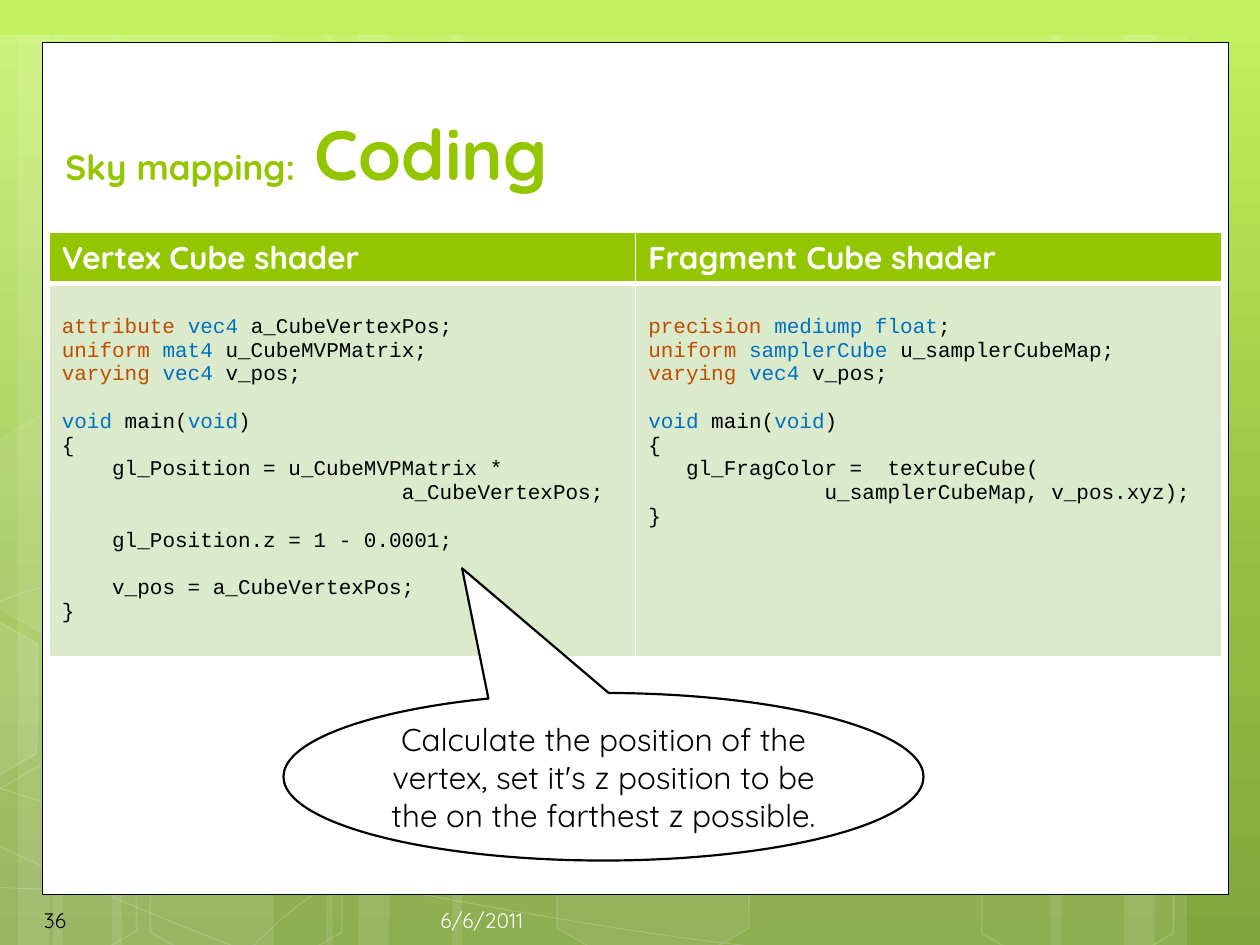
from copy import deepcopy

from lxml.etree import SubElement
from pptx import Presentation
from pptx.dml.color import RGBColor
from pptx.enum.shapes import MSO_SHAPE as Shape
from pptx.enum.text import MSO_ANCHOR as Anchor, PP_ALIGN as Align
from pptx.oxml.ns import qn
from pptx.util import Inches, Pt

HEX = {
    "white": "FFFFFF", "black": "000000", "pale": "FEFEFE",
    "green": "94C600", "mint": "DCEACC", "rust": "BF4D00", "blue": "0070C0",
    "top": "C3F35F", "mid": "93BF3F", "low": "81A53E",
}
FONT, MONO = "Quicksand", "Courier New"
LINE = 13.6  # height of one code line in points

# Bands: left, width
BANDS = [(0.42, 1.75), (-0.33, 0.83), (0.89, 1.75), (-0.11, 0.5), (0.14, 0.83),
         (6.67, 1.75), (8.92, 0.5), (8.34, 0.83), (3.59, 3.08), (2.59, 0.5),
         (2.84, 0.83)]

# Curves: a start point, then three points for each Bezier part
CURVES = [
    [(-0.59, 7.01), (-0.05, 7.04), (0.49, 7.08), (1.24, 7.06), (1.99, 7.05),
     (2.92, 7.03), (3.92, 6.93), (4.92, 6.83), (6.34, 6.64), (7.26, 6.45),
     (8.17, 6.26), (9.11, 5.96), (9.41, 5.79)],
    [(-0.59, 5.05), (-0.3, 4.9), (-0.01, 4.74), (0.55, 4.6), (1.12, 4.45),
     (1.93, 4.23), (2.81, 4.15), (3.7, 4.08), (4.78, 4.08), (5.88, 4.15),
     (6.98, 4.23), (8.81, 4.54), (9.41, 4.62)],
    [(-0.6, 6.45), (0.61, 7), (1.81, 7.55), (2.68, 7.78)],
    [(-0.59, 6.06), (-0.28, 6.17), (0.04, 6.28), (0.62, 6.44), (1.2, 6.6),
     (2.07, 6.84), (2.9, 7.01), (3.74, 7.18), (4.79, 7.36), (5.62, 7.47),
     (6.45, 7.57), (7.34, 7.61), (7.87, 7.65), (8.39, 7.68), (8.53, 7.66),
     (8.79, 7.66), (9.05, 7.66), (9.23, 7.64), (9.41, 7.62)],
    [(1.76, 7.78), (1.94, 7.58), (2.12, 7.38), (2.36, 7.19), (2.6, 7.01),
     (2.94, 6.81), (3.22, 6.67), (3.5, 6.54), (3.67, 6.48), (4.03, 6.37),
     (4.4, 6.27), (5.07, 6.13), (5.42, 6.06), (5.78, 6), (5.83, 6),
     (6.14, 5.97), (6.45, 5.95), (6.94, 5.92), (7.28, 5.91), (7.63, 5.9),
     (8.2, 5.91), (8.2, 5.91), (8.42, 5.91), (8.65, 5.91), (8.87, 5.91),
     (9.05, 5.91), (9.22, 5.93), (9.4, 5.95)],
]

# Hexagons: left, top, fill alpha, line alpha
CELLS = [(4.31, 6.17, 6, 12), (-0.55, 6.19, 0, 12), (-0.52, 3.4, 7, 8),
         (1.08, 6.2, 0, 12), (7.68, 6.21, 0, 12)]

# Hexagon cut at the left side
CUT = [(-0.58, 4.73), (-0.47, 4.67), (0.3, 5.11), (0.29, 5.98), (-0.46, 6.42),
       (-0.58, 6.36)]

# Code: indent in characters, blank lines before, runs split by a bar
VERTEX = [
    (0, 0, "attribute |vec4 |a_CubeVertexPos;"),
    (0, 0, "uniform |mat4 |u_CubeMVPMatrix;"),
    (0, 0, "varying |vec4 |v_pos;"),
    (0, 1, "void| main(|void|)"),
    (0, 0, "{"),
    (4, 0, "gl_Position = u_CubeMVPMatrix *"),
    (27, 0, "a_CubeVertexPos;"),
    (4, 1, "gl_Position.z = 1 - 0.0001;"),
    (4, 1, "v_pos = a_CubeVertexPos;"),
    (0, 0, "}"),
]
FRAGMENT = [
    (0, 0, "precision |mediump float|;"),
    (0, 0, "uniform |samplerCube |u_samplerCubeMap;"),
    (0, 0, "varying |vec4 |v_pos;"),
    (0, 1, "void| main(|void|)"),
    (0, 0, "{"),
    (3, 0, "gl_FragColor =  textureCube("),
    (14, 0, "u_samplerCubeMap, v_pos.xyz);"),
    (0, 0, "}"),
]
WORDS = {
    **dict.fromkeys(["attribute", "uniform", "varying", "precision"], "rust"),
    **dict.fromkeys(["vec4", "mat4", "void", "mediump float", "samplerCube"], "blue"),
}


def rgb(name):
    return RGBColor.from_string(HEX[name])


def put(para, text, size=12, color="black", font=FONT, bold=False, align=None):
    """Add one formatted run to a paragraph."""
    run = para.add_run()
    run.text = text
    face = run.font
    face.size, face.name, face.bold = Pt(size), font, bold
    face.color.rgb = rgb(color)
    if align is not None:
        para.alignment = align


def fade(fmt, name, alpha):
    """Set a solid colour; alpha is a percentage, and 0 means none."""
    if not alpha:
        fmt.background()
        return
    fmt.solid()
    fmt.fore_color.rgb = rgb(name)
    if alpha < 100:
        node = fmt.fore_color._color._xClr
        SubElement(node, qn("a:alpha")).set("val", str(alpha * 1000))


def paint(shape, fill=0, line=0, width=1, edge="white"):
    shape.shadow.inherit = False
    fade(shape.fill, "white", fill)
    fade(shape.line.fill, edge, line)
    if line:
        shape.line.width = Pt(width)


def add(slide, kind, x, y, w, h, **look):
    shape = slide.shapes.add_shape(kind, Inches(x), Inches(y), Inches(w), Inches(h))
    paint(shape, **look)
    return shape


def trace(slide, points, close=False, **look):
    dots = [(Inches(x), Inches(y)) for x, y in points]
    pen = slide.shapes.build_freeform(*dots[0])
    pen.add_line_segments(dots[1:], close=close)
    shape = pen.convert_to_shape()
    paint(shape, **look)
    return shape


def bend(shape):
    """Turn each three straight steps of an outline into one Bezier part."""
    steps = list(shape.element.iter(qn("a:lnTo")))
    for i in range(0, len(steps), 3):
        curve = SubElement(steps[i].getparent(), qn("a:cubicBezTo"))
        for step in steps[i:i + 3]:
            curve.append(step[0])
            step.getparent().remove(step)


def label(slide, x, y, w, h, anchor):
    frame = slide.shapes.add_textbox(Inches(x), Inches(y), Inches(w), Inches(h)).text_frame
    frame.word_wrap, frame.vertical_anchor = True, anchor
    return frame.paragraphs[0]


def rule(cell, **sides):
    """Draw white cell borders, with widths in points."""
    props = cell._tc.get_or_add_tcPr()
    for i, (side, width) in enumerate(sides.items()):
        line = SubElement(props, qn("a:ln" + side), w=str(Pt(width)))
        fill = SubElement(line, qn("a:solidFill"))
        SubElement(fill, qn("a:srgbClr"), val=HEX["white"])
        props.insert(i, line)


def backdrop(slide):
    fill = slide.background.fill
    fill.gradient()
    fill.gradient_angle = 270
    stops = next(slide.element.iter(qn("a:gsLst")))
    stops.append(deepcopy(stops[0]))
    for stop, name, pos in zip(fill.gradient_stops, ("top", "mid", "low"), (0, 0.62, 1)):
        stop.color.rgb, stop.position = rgb(name), pos
    for x, w in BANDS:
        add(slide, Shape.RECTANGLE, x, 0.28, w, 7.5, fill=10)
    for curve in CURVES:
        bend(trace(slide, curve, line=20, width=0.5))
    for x, y, fill, line in CELLS:
        cell = add(slide, Shape.HEXAGON, x, y, 1.75, 1.52, fill=fill, line=line)
        cell.adjustments[0] = 0.285
        cell.rotation = 30
    trace(slide, CUT, close=True, fill=10, line=12)


def shaders(slide):
    table = slide.shapes.add_table(2, 2, Inches(0.39), Inches(1.84),
                                   Inches(9.31), Inches(3.37)).table
    table.rows[0].height, table.rows[1].height = Inches(0.41), Inches(2.96)
    parts = [("Vertex Cube shader", VERTEX), ("Fragment Cube shader", FRAGMENT)]
    for col, (name, code) in enumerate(parts):
        head, body = table.cell(0, col), table.cell(1, col)
        for cell, tint in ((head, "green"), (body, "mint")):
            cell.fill.solid()
            cell.fill.fore_color.rgb = rgb(tint)
        rule(head, L=1, R=1, T=1, B=3)
        rule(body, L=1, R=1, T=1, B=1)
        put(head.text_frame.paragraphs[0], name, size=18, color="white", bold=True)
        body.margin_top = Inches(0.07) + Pt(LINE)
        for i, (indent, gap, text) in enumerate(code):
            para = body.text_frame.paragraphs[0] if i == 0 else body.text_frame.add_paragraph()
            para.space_before = Pt(gap * LINE)
            para._p.get_or_add_pPr().set("marL", str(Inches(indent / 10)))
            for piece in text.split("|"):
                put(para, piece, color=WORDS.get(piece.strip(), "black"), font=MONO)


def main():
    deck = Presentation()
    deck.slide_width, deck.slide_height = Inches(10), Inches(7.5)
    slide = deck.slides.add_slide(deck.slide_layouts[6])

    # Background and white panel
    backdrop(slide)
    add(slide, Shape.RECTANGLE, 0.34, 0.34, 9.41, 6.76,
        fill=100, line=100, width=0.5, edge="black")

    # Title and code table
    title = label(slide, 0.42, 0.34, 9.25, 1.25, Anchor.BOTTOM)
    put(title, "Sky mapping:", size=20, color="green", bold=True)
    put(title, " Coding", size=40, color="green", bold=True)
    shaders(slide)

    # Footer
    put(label(slide, 1.92, 7.1, 2.33, 0.4, Anchor.MIDDLE), "6/6/2011",
        color="pale", align=Align.RIGHT)
    put(label(slide, 0.25, 7.1, 1.46, 0.4, Anchor.MIDDLE), "36")

    # Callout
    note = add(slide, Shape.OVAL_CALLOUT, 2.25, 5.5, 5.08, 1.33,
               fill=100, line=100, width=1.25, edge="black")
    note.adjustments[0], note.adjustments[1] = -0.221, -1.244
    note.text_frame.word_wrap = True
    note.text_frame.vertical_anchor = Anchor.MIDDLE
    put(note.text_frame.paragraphs[0],
        "Calculate the position of the vertex, set it's z position "
        "to be the on the farthest z possible.", size=18, align=Align.CENTER)

    deck.save("out.pptx")


if __name__ == "__main__":
    main()
